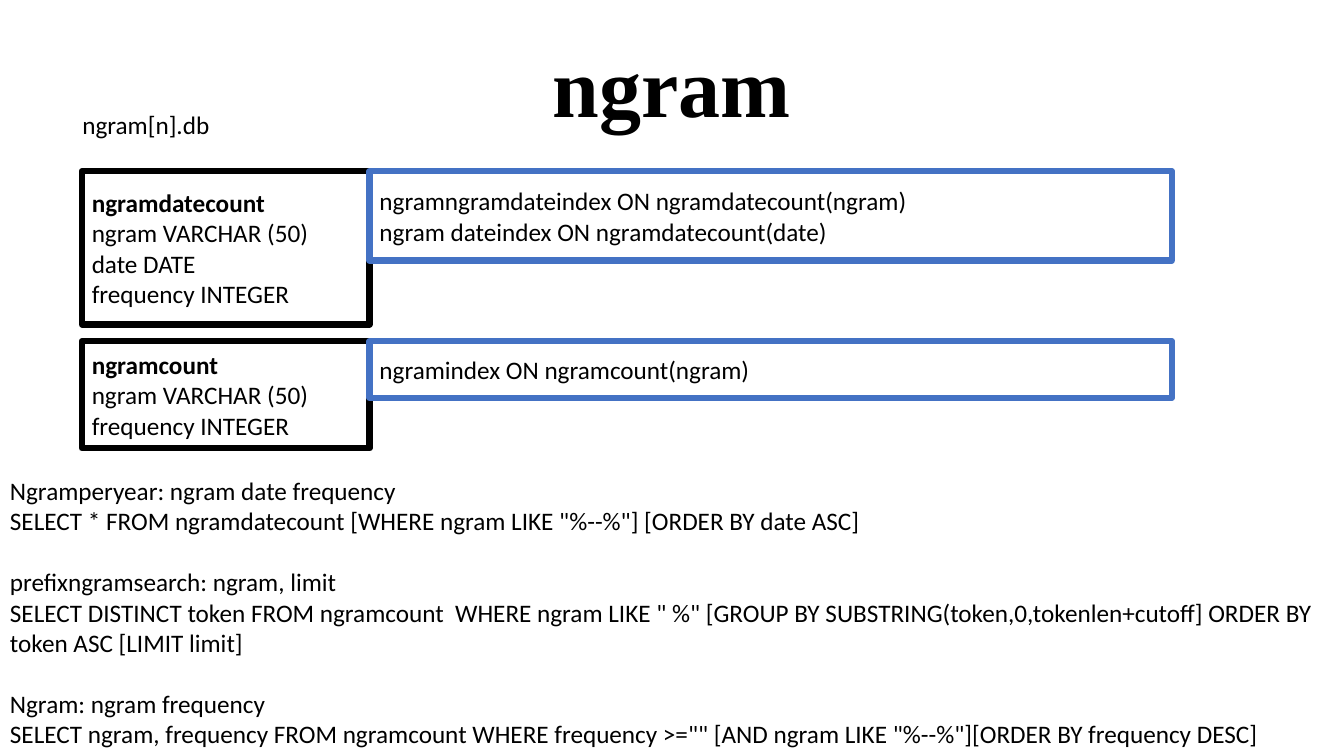
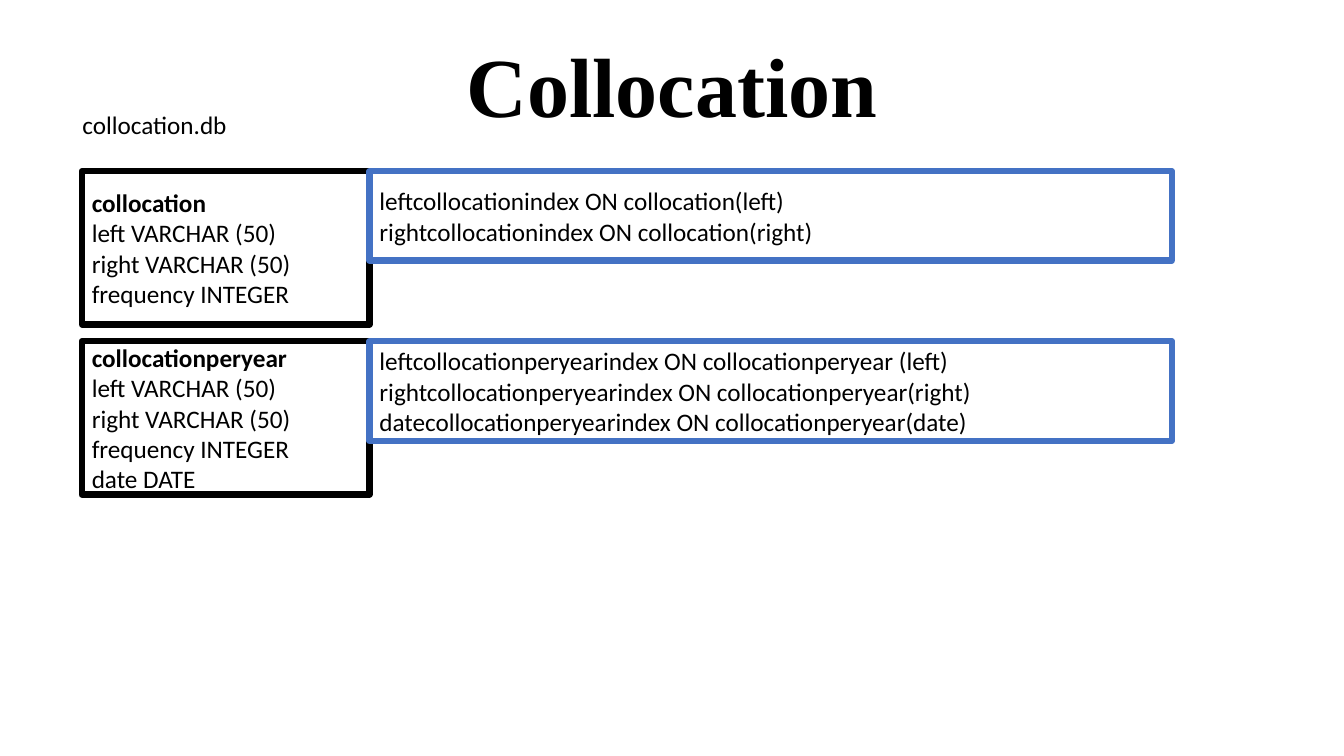
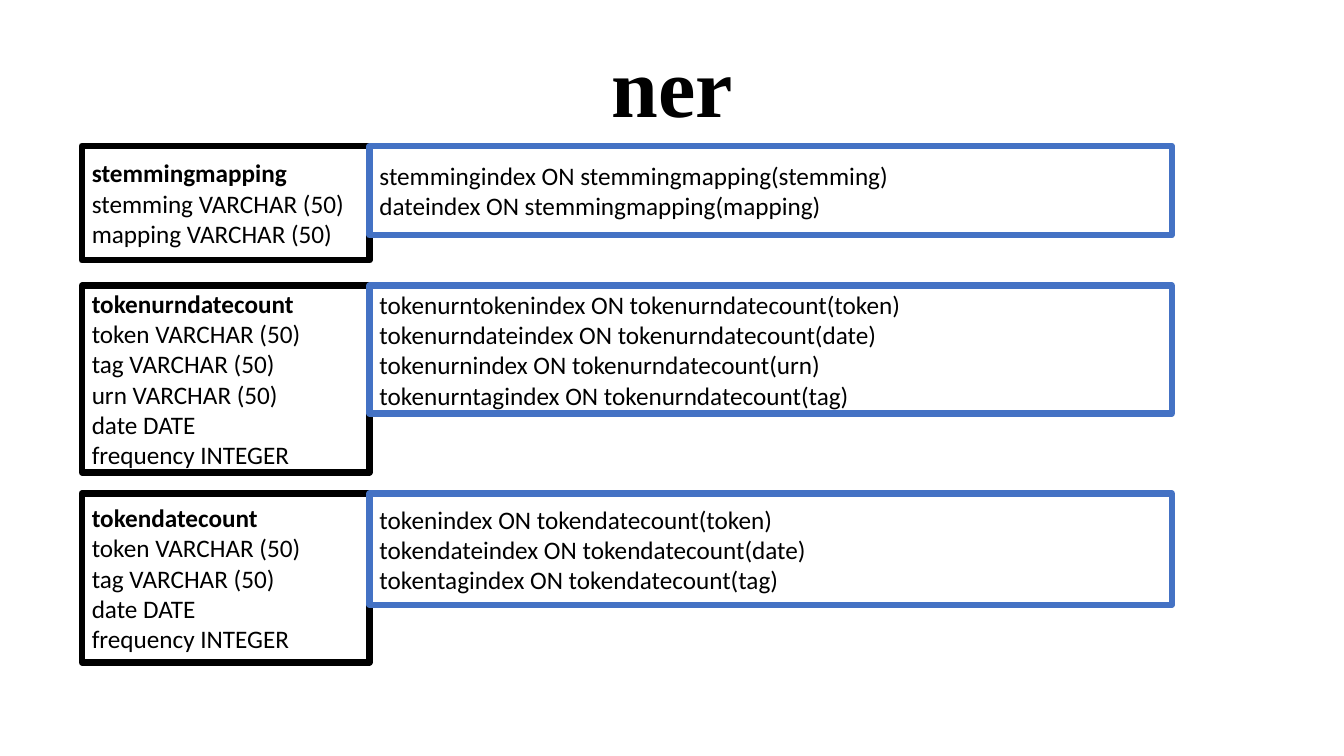
from pptx import Presentation
from pptx.dml.color import RGBColor
from pptx.enum.shapes import MSO_SHAPE
from pptx.enum.text import MSO_ANCHOR, MSO_AUTO_SIZE, PP_ALIGN
from pptx.util import Pt

PX = 9525
SLIDE_WIDTH, SLIDE_HEIGHT = 1280, 720
COLORS = {"paper": "FFFFFF", "ink": "000000", "index": "4472C4"}
BODY_FONT, TITLE_FONT = "Calibri", "Times New Roman"
SCHEMA_LEFT, SCHEMA_WIDTH, INDEX_WIDTH = 78, 274, 764

SLIDES = [
    {
        "title": "ngram",
        "title_width": 249,
        "database": "ngram[n].db",
        "tables": [
            {
                "top": 163, "height": 146, "index_height": 85,
                "name": "ngramdatecount",
                "columns": ["ngram VARCHAR (50)", "date DATE", "frequency INTEGER"],
                "indexes": [
                    "ngramngramdateindex ON ngramdatecount(ngram)",
                    "ngram dateindex ON ngramdatecount(date)",
                ],
            },
            {
                "top": 325, "height": 102, "index_height": 54,
                "name": "ngramcount",
                "columns": ["ngram VARCHAR (50)", "frequency INTEGER"],
                "indexes": ["ngramindex ON ngramcount(ngram)"],
            },
        ],
        "queries": [
            (
                "Ngramperyear: ngram date frequency",
                'SELECT * FROM ngramdatecount [WHERE ngram LIKE "%--%"] [ORDER BY date ASC]',
            ),
            (
                "prefixngramsearch: ngram, limit",
                'SELECT DISTINCT token FROM ngramcount  WHERE ngram LIKE " %" '
                "[GROUP BY SUBSTRING(token,0,tokenlen+cutoff] ORDER BY token ASC [LIMIT limit]",
            ),
            (
                "Ngram: ngram frequency",
                'SELECT ngram, frequency FROM ngramcount WHERE frequency >="" '
                '[AND ngram LIKE "%--%"][ORDER BY frequency DESC]',
            ),
        ],
    },
    {
        "title": "Collocation",
        "title_width": 414,
        "database": "collocation.db",
        "tables": [
            {
                "top": 163, "height": 146, "index_height": 85,
                "name": "collocation",
                "columns": ["left VARCHAR (50)", "right VARCHAR (50)", "frequency INTEGER"],
                "indexes": [
                    "leftcollocationindex ON collocation(left)",
                    "rightcollocationindex ON collocation(right)",
                ],
            },
            {
                "top": 325, "height": 146, "index_height": 95,
                "name": "collocationperyear",
                "columns": ["left VARCHAR (50)", "right VARCHAR (50)",
                            "frequency INTEGER", "date DATE"],
                "indexes": [
                    "leftcollocationperyearindex ON collocationperyear (left)",
                    "rightcollocationperyearindex ON collocationperyear(right)",
                    "datecollocationperyearindex ON collocationperyear(date)",
                ],
            },
        ],
    },
    {
        "title": "ner",
        "title_width": 136,
        "tables": [
            {
                "top": 139, "height": 109, "index_height": 85,
                "name": "stemmingmapping",
                "columns": ["stemming VARCHAR (50) mapping VARCHAR (50)"],
                "indexes": [
                    "stemmingindex ON stemmingmapping(stemming)",
                    "dateindex ON stemmingmapping(mapping)",
                ],
            },
            {
                "top": 272, "height": 178, "index_height": 122,
                "name": "tokenurndatecount",
                "columns": ["token VARCHAR (50)", "tag VARCHAR (50)", "urn VARCHAR (50)",
                            "date DATE", "frequency INTEGER"],
                "indexes": [
                    "tokenurntokenindex ON tokenurndatecount(token)",
                    "tokenurndateindex ON tokenurndatecount(date)",
                    "tokenurnindex ON tokenurndatecount(urn)",
                    "tokenurntagindex ON tokenurndatecount(tag)",
                ],
            },
            {
                "top": 470, "height": 161, "index_height": 106,
                "name": "tokendatecount",
                "columns": ["token VARCHAR (50)", "tag VARCHAR (50)",
                            "date DATE", "frequency INTEGER"],
                "indexes": [
                    "tokenindex ON tokendatecount(token)",
                    "tokendateindex ON tokendatecount(date)",
                    "tokentagindex ON tokendatecount(tag)",
                ],
            },
        ],
    },
]


def color(name):
    """Return the palette colour with the given name."""
    return RGBColor.from_string(COLORS[name])


def scaled(box):
    """Turn a box in px into EMU."""
    return [length * PX for length in box]


def write_lines(text_frame, lines, size=18, font_name=BODY_FONT, align=PP_ALIGN.LEFT):
    """Write one paragraph per line in one font and return the paragraphs."""
    paragraphs = []
    for number, line in enumerate(lines):
        paragraph = text_frame.add_paragraph() if number else text_frame.paragraphs[0]
        paragraph.text = line
        paragraph.alignment = align
        paragraph.font.name = font_name
        paragraph.font.size = Pt(size)
        paragraph.font.color.rgb = color("ink")
        paragraphs.append(paragraph)
    return paragraphs


def add_text(slide, box, lines, wrap=True, **style):
    """Add a text box that grows with its lines and return its paragraphs."""
    text_frame = slide.shapes.add_textbox(*scaled(box)).text_frame
    text_frame.word_wrap = wrap
    text_frame.auto_size = MSO_AUTO_SIZE.SHAPE_TO_FIT_TEXT
    return write_lines(text_frame, lines, **style)


def add_panel(slide, box, lines, outline):
    """Add an outlined rectangle with centred-height lines and return its paragraphs."""
    shape = slide.shapes.add_shape(MSO_SHAPE.RECTANGLE, *scaled(box))
    shape.shadow.inherit = False
    shape.fill.solid()
    shape.fill.fore_color.rgb = color("paper")
    shape.line.color.rgb = color(outline)
    shape.line.width = Pt(4.5)
    shape.text_frame.word_wrap = True
    shape.text_frame.vertical_anchor = MSO_ANCHOR.MIDDLE
    return write_lines(shape.text_frame, lines)


def add_title(slide, title, width):
    """Add the large title centred across the slide."""
    box = ((SLIDE_WIDTH - width) // 2, 27, width, 107)
    paragraph, = add_text(slide, box, [title], wrap=False, size=60,
                          font_name=TITLE_FONT, align=PP_ALIGN.CENTER)
    paragraph.font.bold = True


def add_schema(slide, left, table):
    """Add a table's columns with its indexes to the right."""
    top = table["top"]
    column_box = (left, top, SCHEMA_WIDTH, table["height"])
    index_box = (left + SCHEMA_WIDTH, top, INDEX_WIDTH, table["index_height"])
    heading, *_ = add_panel(slide, column_box, [table["name"], *table["columns"]], "ink")
    heading.font.bold = True
    add_panel(slide, index_box, table["indexes"], "index")


def add_queries(slide, box, queries):
    """Add pairs of query name and statement, a line's height apart."""
    lines = [line for query in queries for line in query]
    paragraphs = add_text(slide, box, lines)
    for paragraph in paragraphs[2::2]:
        paragraph.space_before = Pt(22)


def add_database_slide(presentation, content):
    """Add one slide describing a database."""
    slide = presentation.slides.add_slide(presentation.slide_layouts[6])
    add_title(slide, content["title"], content["title_width"])
    for table in content["tables"]:
        add_schema(slide, SCHEMA_LEFT, table)
    if "queries" in content:
        add_queries(slide, (0, 448, SLIDE_WIDTH, 272), content["queries"])
    if "database" in content:
        add_text(slide, (69, 99, 642, 38), [content["database"]])


def main():
    """Build and save the presentation."""
    presentation = Presentation()
    presentation.slide_width = SLIDE_WIDTH * PX
    presentation.slide_height = SLIDE_HEIGHT * PX
    for content in SLIDES:
        add_database_slide(presentation, content)
    presentation.save("out.pptx")


if __name__ == "__main__":
    main()
